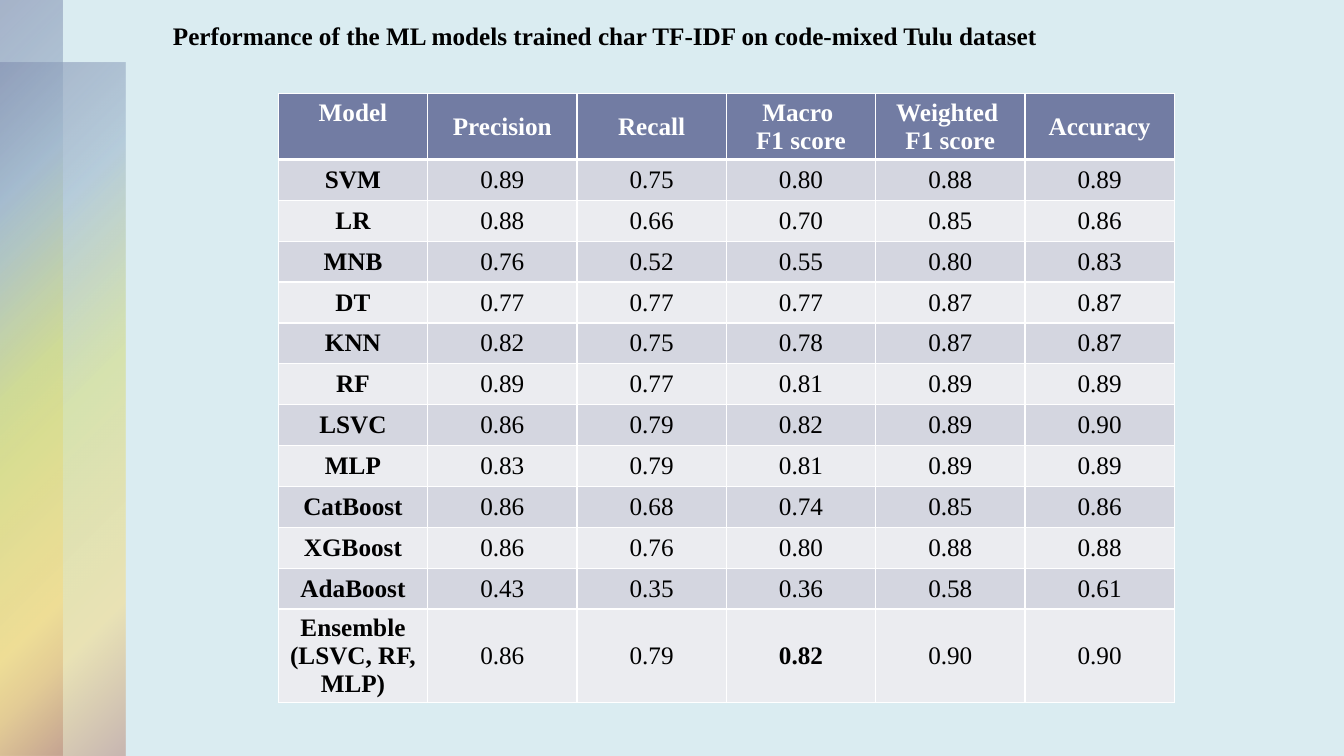
import pptx
import pptx.dml.color
import pptx.enum.shapes
import pptx.enum.text
import pptx.oxml
import pptx.oxml.ns
import pptx.util

Pt = pptx.util.Pt
MIDDLE = pptx.enum.text.MSO_ANCHOR.MIDDLE
TOP = pptx.enum.text.MSO_ANCHOR.TOP
CENTER = pptx.enum.text.PP_ALIGN.CENTER
LEFT = pptx.enum.text.PP_ALIGN.LEFT

HEADINGS = ["Model", "Precision", "Recall", "Macro \nF1 score", "Weighted \nF1 score", "Accuracy"]
SCORES = [
    ["SVM", "0.89", "0.75", "0.80", "0.88", "0.89"],
    ["LR", "0.88", "0.66", "0.70", "0.85", "0.86"],
    ["MNB", "0.76", "0.52", "0.55", "0.80", "0.83"],
    ["DT", "0.77", "0.77", "0.77", "0.87", "0.87"],
    ["KNN", "0.82", "0.75", "0.78", "0.87", "0.87"],
    ["RF", "0.89", "0.77", "0.81", "0.89", "0.89"],
    ["LSVC", "0.86", "0.79", "0.82", "0.89", "0.90"],
    ["MLP", "0.83", "0.79", "0.81", "0.89", "0.89"],
    ["CatBoost", "0.86", "0.68", "0.74", "0.85", "0.86"],
    ["XGBoost", "0.86", "0.76", "0.80", "0.88", "0.88"],
    ["AdaBoost", "0.43", "0.35", "0.36", "0.58", "0.61"],
    ["Ensemble\n(LSVC, RF, MLP)", "0.86", "0.79", "0.82", "0.90", "0.90"],
]
BEST_SCORE = (len(SCORES), 3)


def color(hex_value):
    return pptx.dml.color.RGBColor.from_string(hex_value)


class ScoreSlide:
    font = "Times New Roman"
    size = 18
    ink = "000000"
    paper = "FFFFFF"
    header_fill = "727CA3"
    band_fills = ["EBECF0", "D4D6E0"]
    namespace = pptx.oxml.ns.nsdecls("a")

    def __init__(self, deck, background):
        self.slide = deck.slides.add_slide(deck.slide_layouts[6])
        fill = self.slide.background.fill
        fill.solid()
        fill.fore_color.rgb = color(background)

    def set_text(self, frame, text, ink, bold, align):
        frame.text = text
        for paragraph in frame.paragraphs:
            paragraph.alignment = align
            for run in paragraph.runs:
                run.font.name = self.font
                run.font.size = Pt(self.size)
                run.font.bold = bold
                run.font.color.rgb = color(ink)

    def gradient_band(self, left, top, width, height, middle):
        band = self.slide.shapes.add_shape(
            pptx.enum.shapes.MSO_SHAPE.RECTANGLE, Pt(left), Pt(top), Pt(width), Pt(height))
        band.shadow.inherit = False
        band.line.fill.background()
        stops = [(0, "727CA3", 50), (25, "9FB8CD", 60), (middle, "D2DA7A", 55),
                 (81, "FADA7A", 50), (99, "B88472", 50), (100, "B88472", 50)]
        stop_xml = "".join(
            f'<a:gs pos="{position * 1000}"><a:srgbClr val="{tint}">'
            f'<a:alpha val="{alpha * 1000}"/></a:srgbClr></a:gs>'
            for position, tint, alpha in stops)
        gradient = pptx.oxml.parse_xml(
            f'<a:gradFill {self.namespace} rotWithShape="1"><a:gsLst>{stop_xml}</a:gsLst>'
            '<a:path path="circle"><a:fillToRect r="100000" b="100000"/></a:path></a:gradFill>')
        band.fill.background()
        properties = band.element.spPr
        properties.replace(properties.find(pptx.oxml.ns.qn("a:noFill")), gradient)

    def title(self, text, left, top, width, height):
        box = self.slide.shapes.add_textbox(Pt(left), Pt(top), Pt(width), Pt(height))
        box.text_frame.word_wrap = True
        self.set_text(box.text_frame, text, self.ink, True, LEFT)

    def cell_borders(self, cell, top, bottom):
        properties = cell._tc.get_or_add_tcPr()
        for side, weight in (("L", 1), ("R", 1), ("T", top), ("B", bottom)):
            properties.append(pptx.oxml.parse_xml(
                f'<a:ln{side} {self.namespace} w="{Pt(weight)}"><a:solidFill>'
                f'<a:srgbClr val="{self.paper}"/></a:solidFill></a:ln{side}>'))

    def score_table(self, rows, left, top, column_width, row_height):
        table = self.slide.shapes.add_table(
            len(rows), len(rows[0]), Pt(left), Pt(top),
            Pt(column_width * len(rows[0])), Pt(row_height * len(rows))).table
        for column in table.columns:
            column.width = Pt(column_width)
        for row_index, row in enumerate(rows):
            table.rows[row_index].height = Pt(row_height)
            header = row_index == 0
            for column_index, text in enumerate(row):
                cell = table.cell(row_index, column_index)
                position = (row_index, column_index)
                self.cell_borders(cell, 3 if row_index == 1 else 1, 3 if header else 1)
                cell.fill.solid()
                cell.fill.fore_color.rgb = color(
                    self.header_fill if header else self.band_fills[row_index % 2])
                cell.vertical_anchor = TOP if position == (0, 0) else MIDDLE
                bold = header or column_index == 0 or position == BEST_SCORE
                self.set_text(cell.text_frame, text, self.paper if header else self.ink, bold, CENTER)


def main():
    deck = pptx.Presentation()
    deck.slide_width, deck.slide_height = Pt(960), Pt(540)
    page = ScoreSlide(deck, "DAECF1")
    page.gradient_band(0, 45, 90, 495, middle=50)
    page.gradient_band(0, 0, 45, 540, middle=49)
    page.score_table([HEADINGS] + SCORES, 198.8, 66.8, 106.67, 29.2)
    page.title("Performance of the ML models trained char TF-IDF on code-mixed Tulu dataset",
               116.5, 11, 823, 29)
    deck.save("out.pptx")


if __name__ == "__main__":
    main()
